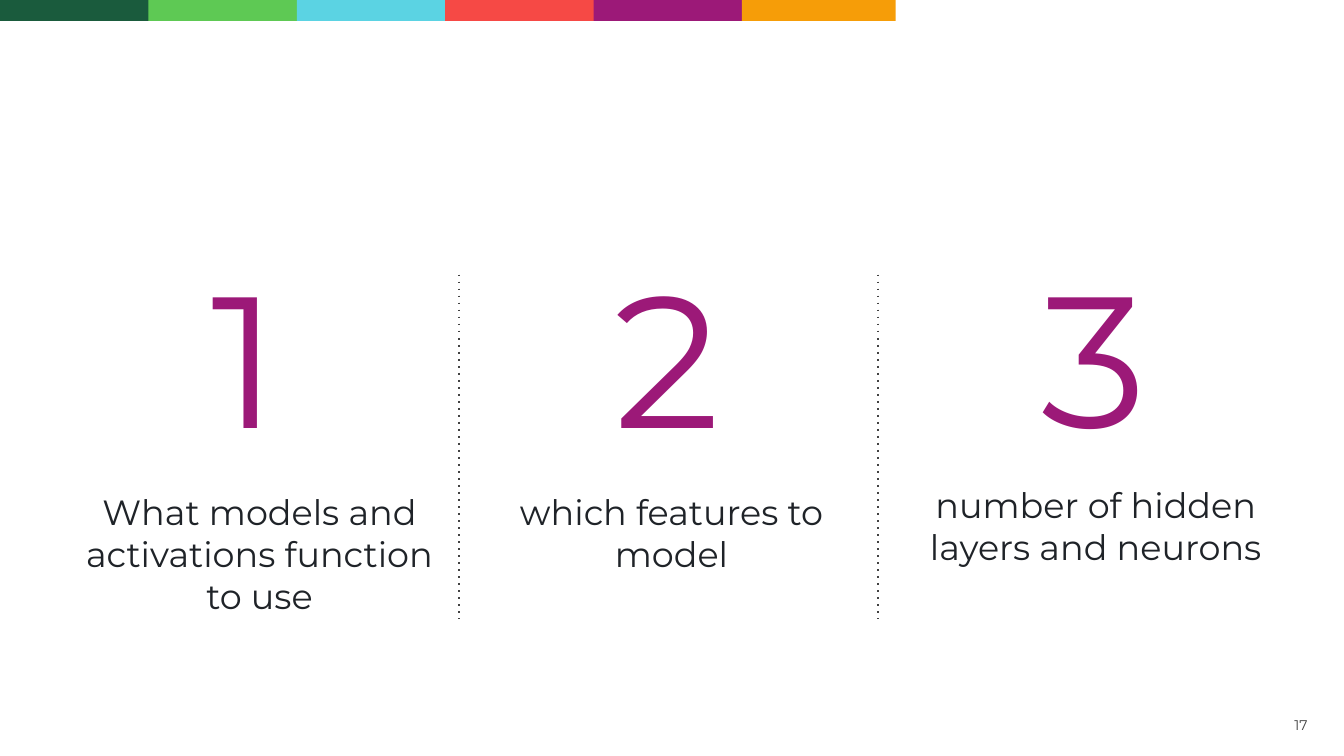
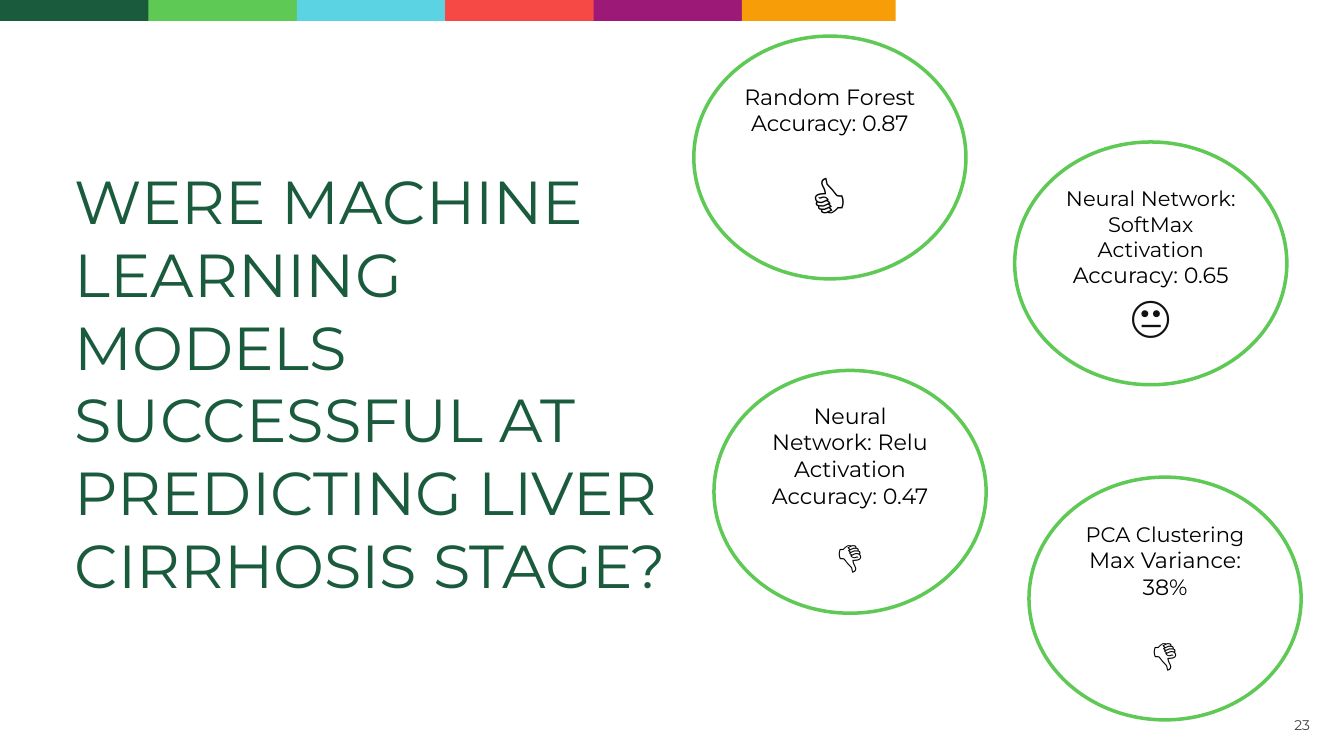
import pptx
import pptx.util
import pptx.dml.color
import pptx.enum.dml
import pptx.enum.shapes
import pptx.enum.text
import pptx.oxml

Inches = pptx.util.Inches
Pt = pptx.util.Pt
RGB = pptx.dml.color.RGBColor.from_string
ALIGN = pptx.enum.text.PP_ALIGN
ANCHOR = pptx.enum.text.MSO_ANCHOR
SHAPE = pptx.enum.shapes.MSO_SHAPE

COLORS = {
    "green": "1A5B3D", "lime": "5EC954", "cyan": "5BD3E3",
    "red": "F64945", "purple": "9C1978", "orange": "F69D08",
    "white": "FFFFFF", "black": "000000", "gray": "414141",
    "body": "1F2328", "emoji": "111111",
}


def write(sp, text, size=19, color="black", font="Montserrat", align=ALIGN.CENTER,
          anchor=ANCHOR.TOP, inset=0.1, before=0):
    """Add one paragraph to a shape and format its frame."""
    tf = sp.text_frame
    tf.word_wrap = True
    tf.auto_size = pptx.enum.text.MSO_AUTO_SIZE.NONE
    tf.vertical_anchor = anchor
    tf.margin_left = tf.margin_right = Inches(inset)
    tf.margin_top = tf.margin_bottom = Inches(inset)
    p = tf.add_paragraph() if tf.text else tf.paragraphs[0]
    p.alignment = align
    if before:
        p.space_before = Pt(before)
    r = p.add_run()
    r.text = text
    r.font.size = Pt(size)
    r.font.name = font
    r.font.color.rgb = RGB(COLORS[color])


def place(sp, left, top, width, height):
    sp.left, sp.top = Inches(left), Inches(top)
    sp.width, sp.height = Inches(width), Inches(height)


prs = pptx.Presentation()
prs.slide_width, prs.slide_height = Inches(16), Inches(9)
layout = prs.slide_layouts.get_by_name("Title Only")
steps, results = [prs.slides.add_slide(layout) for _ in range(2)]

# Colour band, moved to the shared layout
for i, name in enumerate(["green", "lime", "cyan", "red", "purple", "orange"]):
    band = steps.shapes.add_shape(SHAPE.RECTANGLE, Inches(i * 5.3 / 3), 0,
                                  Inches(1.83), Inches(0.25))
    band.shadow.inherit = False
    band.fill.solid()
    band.fill.fore_color.rgb = RGB(COLORS[name])
    band.line.fill.background()
    band.element.xpath(".//p:cNvPr")[0].set("id", str(20 + i))
    layout.element.cSld.spTree.append(band.element)

# Page numbers
for s, number in [(steps, "17"), (results, "23")]:
    box = s.shapes.add_textbox(Inches(15.31), Inches(8.29), Inches(0.47), Inches(0.69))
    write(box, number, size=12, color="gray", align=ALIGN.LEFT, anchor=ANCHOR.MIDDLE)

# Slide 1: numbered questions
columns = [
    ("1", 1.92, 2, "What models and activations function to use", 0.72, 5.74, 4.74),
    ("2", 6.91, 2.08, "which features to model", 5.53, 5.74, 4.93),
    ("3", 12.03, 2, "number of hidden layers and neurons", 10.46, 5.66, 5.17),
]
for digit, left, width, question, q_left, q_top, q_width in columns:
    sp = steps.shapes.title if digit == "1" else steps.shapes.add_textbox(0, 0, 0, 0)
    place(sp, left, 2.72, width, 2.74)
    write(sp, digit, size=160, color="purple", inset=0.16)
    box = steps.shapes.add_textbox(0, 0, 0, 0)
    place(box, q_left, q_top, q_width, 1.61)
    write(box, question, size=30, color="body")

# Dotted dividers
for x in (5.46, 10.45):
    divider = steps.shapes.add_connector(pptx.enum.shapes.MSO_CONNECTOR.STRAIGHT,
                                         Inches(x), Inches(3.27), Inches(x), Inches(7.36))
    divider.line.color.rgb = RGB(COLORS["gray"])
    divider.line.width = Pt(1.5)
    divider.line.dash_style = pptx.enum.dml.MSO_LINE.ROUND_DOT
    divider.element.xpath(".//a:prstDash")[0].set("val", "dot")
    divider.element.spPr.append(pptx.oxml.parse_xml(
        '<a:effectLst xmlns:a="http://schemas.openxmlformats.org/drawingml/2006/main"/>'))

# Slide 2: question and model results
title = results.shapes.title
place(title, 0.73, 1.79, 7.42, 6.13)
write(title, "WERE MACHINE LEARNING MODELS SUCCESSFUL AT PREDICTING LIVER CIRRHOSIS STAGE?",
      size=52, color="green", align=ALIGN.LEFT, inset=0.16)

thumb_down = dict(text="👎", size=38)
circles = [
    (8.26, 0.43, ANCHOR.MIDDLE, "Random Forest", 19, "Accuracy: 0.87",
     dict(text="👍", size=49, font="Arial", before=23)),
    (12.08, 1.69, ANCHOR.TOP, "Neural Network: SoftMax Activation", 18, "Accuracy: 0.65",
     dict(text="😐", size=38, font="Roboto", color="emoji")),
    (8.5, 4.41, ANCHOR.MIDDLE, "Neural Network: Relu Activation", 19, "Accuracy: 0.47",
     dict(thumb_down, before=17)),
    (12.25, 5.68, ANCHOR.TOP, "PCA Clustering", 18, "Max Variance: 38%",
     dict(thumb_down, before=23)),
]
for left, top, anchor, model, size, score, verdict in circles:
    sp = results.shapes.add_shape(SHAPE.OVAL, Inches(left), Inches(top),
                                  Inches(3.24), Inches(2.89))
    sp.shadow.inherit = False
    sp.fill.solid()
    sp.fill.fore_color.rgb = RGB(COLORS["white"])
    sp.line.color.rgb = RGB(COLORS["lime"])
    sp.line.width = Pt(3)
    write(sp, model, size=size, anchor=anchor)
    write(sp, score, anchor=anchor)
    write(sp, anchor=anchor, **verdict)

prs.save("out.pptx")
